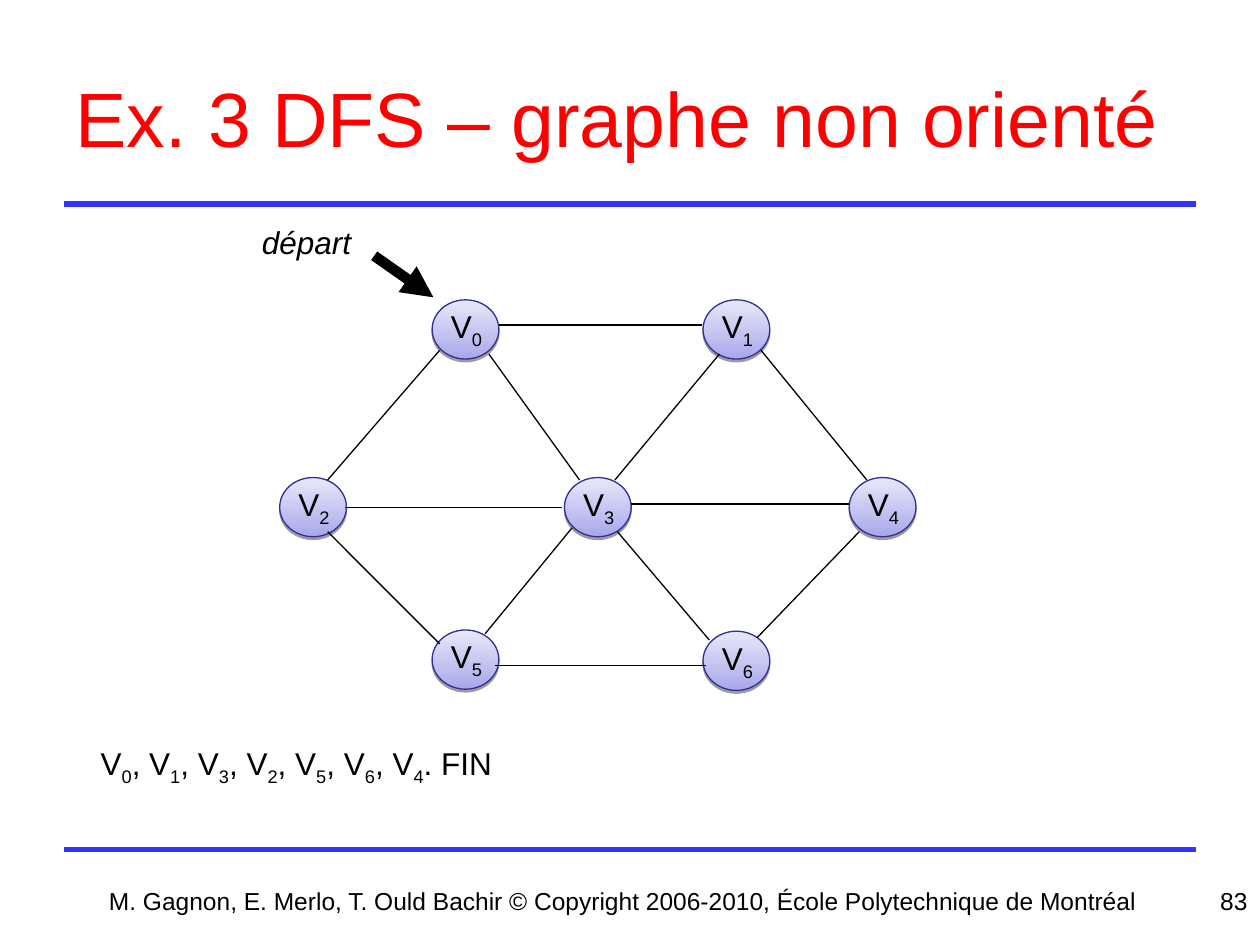
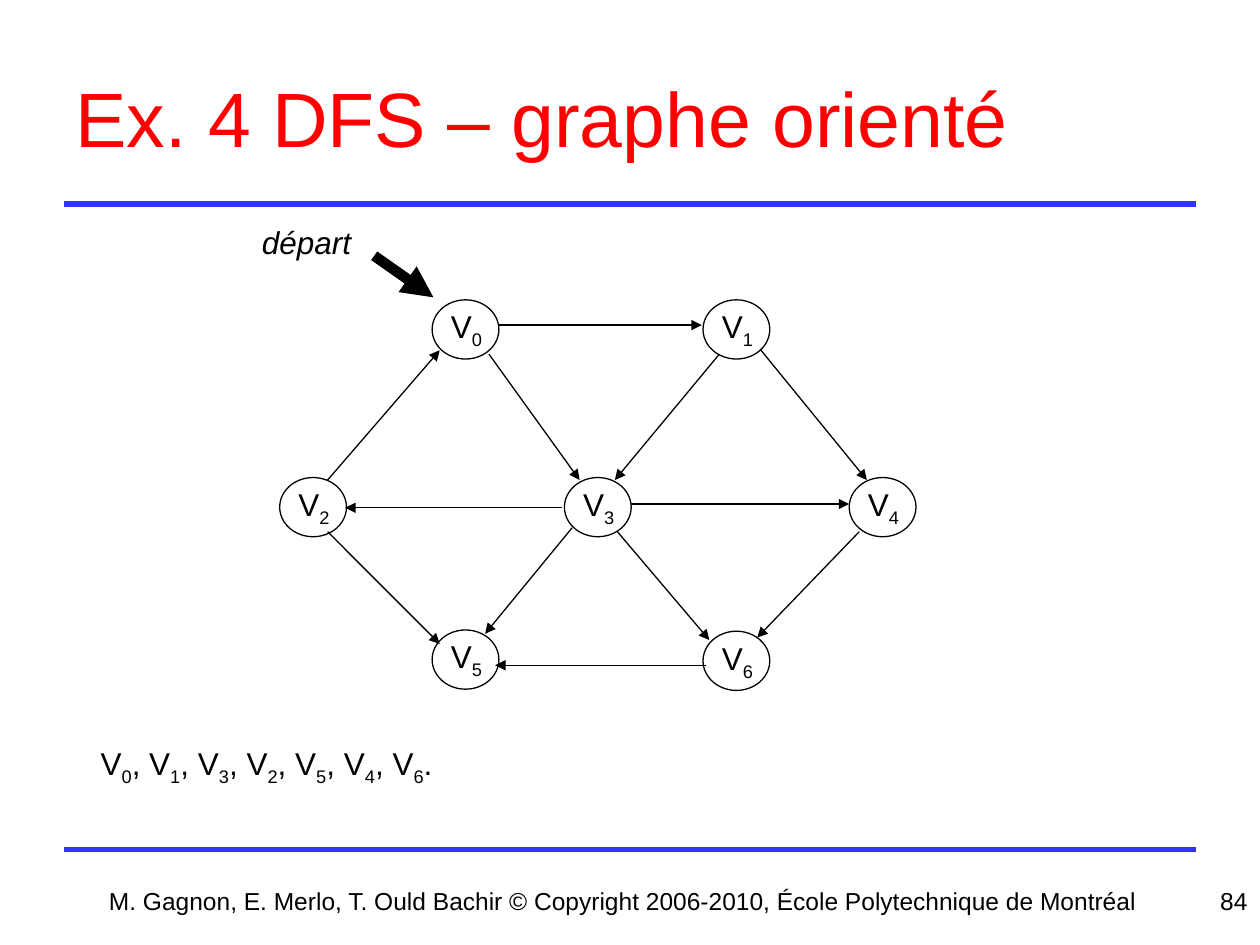
from lxml import etree
from pptx import Presentation
from pptx.dml.color import RGBColor
from pptx.enum.shapes import MSO_CONNECTOR, MSO_SHAPE
from pptx.enum.text import MSO_ANCHOR, MSO_AUTO_SIZE, PP_ALIGN
from pptx.oxml.ns import qn
from pptx.util import Inches, Pt

STRAIGHT = MSO_CONNECTOR.STRAIGHT
OVAL = MSO_SHAPE.OVAL
MIDDLE = MSO_ANCHOR.MIDDLE
NO_FIT, GROW = MSO_AUTO_SIZE.NONE, MSO_AUTO_SIZE.SHAPE_TO_FIT_TEXT
LEFT, CENTER, RIGHT = PP_ALIGN.LEFT, PP_ALIGN.CENTER, PP_ALIGN.RIGHT

FONT = "Arial"
COLORS = {
    "title": "FF0000",
    "rule": "3333FF",
    "ink": "000000",
    "node_dark": "A8A8EA",
    "node_light": "E8E8FA",
    "node_line": "2F2F98",
}
RGB = {name: RGBColor.from_string(value) for name, value in COLORS.items()}
FOOTER = "M. Gagnon, E. Merlo, T. Ould Bachir © Copyright 2006-2010, École Polytechnique de Montréal"

NODE_W, NODE_H = 0.53, 0.47
NODES = {
    0: (3.43, 2.38),
    1: (5.58, 2.38),
    3: (4.48, 3.79),
    2: (2.22, 3.79),
    5: (3.43, 5),
    6: (5.58, 5.01),
    4: (6.74, 3.79),
}
EDGES = [
    (3.96, 2.58, 5.57, 2.58),
    (6.04, 2.78, 6.88, 3.81),
    (6.82, 4.22, 6.01, 5.06),
    (5.6, 5.28, 3.93, 5.28),
    (2.6, 4.22, 3.49, 5.11),
    (2.6, 3.81, 3.49, 2.78),
    (3.88, 2.81, 4.6, 3.81),
    (4.9, 4.22, 5.63, 5.08),
    (5.71, 2.81, 4.88, 3.81),
    (4.54, 4.19, 3.85, 5.03),
    (5.01, 4, 6.74, 4),
    (4.46, 4.03, 2.74, 4.03),
]
SLIDES = [
    {"title": "Ex. 3 DFS – graphe non orienté", "directed": False,
     "order": [0, 1, 3, 2, 5, 6, 4], "ending": ". FIN", "number": "83"},
    {"title": "Ex. 4 DFS – graphe orienté", "directed": True,
     "order": [0, 1, 3, 2, 5, 4, 6], "ending": ".", "number": "84"},
]


def add_line(s, ends, color, width, arrow=False):
    c = s.shapes.add_connector(STRAIGHT, *[Inches(v) for v in ends])
    c.line.color.rgb = RGB[color]
    c.line.width = Pt(width)
    spPr = c.element.spPr
    if arrow:
        etree.SubElement(spPr.find(qn("a:ln")), qn("a:tailEnd"), type="triangle")
    etree.SubElement(spPr, qn("a:effectLst"))


def add_text(shapes, box, runs, size=18, align=LEFT, wrap=True, fit=GROW, italic=False):
    tf = shapes.add_textbox(*[Inches(v) for v in box]).text_frame
    tf.word_wrap = wrap
    tf.auto_size = fit
    p = tf.paragraphs[0]
    p.alignment = align
    for text, subscript in runs:
        r = p.add_run()
        r.text = text
        r.font.name = FONT
        r.font.size = Pt(size)
        r.font.italic = italic
        r.font.color.rgb = RGB["ink"]
        if subscript:
            r.font.element.set("baseline", "-25000") if hasattr(r.font, "element") else r._r.get_or_add_rPr().set("baseline", "-25000")


prs = Presentation()
prs.slide_width = Inches(10)
prs.slide_height = Inches(7.5)

for content in SLIDES:
    s = prs.slides.add_slide(prs.slide_layouts[5])
    directed = content["directed"]
    for y in (6.74, 1.62):
        add_line(s, (0.51, y, 9.49, y), "rule", 3)

    title = s.shapes.title
    title.left, title.top = Inches(0.5), Inches(0.3)
    title.width, title.height = Inches(9), Inches(1.25)
    tf = title.text_frame
    tf.vertical_anchor = MIDDLE
    tf.word_wrap = True
    tf.auto_size = NO_FIT
    p = tf.paragraphs[0]
    p.alignment = LEFT
    r = p.add_run()
    r.text = content["title"]
    r.font.name = FONT
    r.font.size = Pt(44)
    r.font.color.rgb = RGB["title"]

    for label, (x, y) in NODES.items():
        group = s.shapes.add_group_shape()
        sp = group.shapes.add_shape(OVAL, Inches(x), Inches(y), Inches(NODE_W), Inches(NODE_H))
        sp.line.width = Pt(0.75)
        sp.shadow.inherit = False
        if directed:
            sp.fill.background()
            sp.line.color.rgb = RGB["ink"]
        else:
            sp.fill.gradient()
            sp.fill.gradient_angle = 90
            for stop, color in zip(sp.fill.gradient_stops, ("node_dark", "node_light")):
                stop.color.rgb = RGB[color]
            sp.line.color.rgb = RGB["node_line"]
            effects = sp.element.spPr.find(qn("a:effectLst"))
            shadow = etree.SubElement(effects, qn("a:outerShdw"), blurRad="0",
                                      dist=str(Pt(1.6)), dir="5400000", rotWithShape="0")
            tint = etree.SubElement(shadow, qn("a:srgbClr"), val=COLORS["ink"])
            etree.SubElement(tint, qn("a:alpha"), val="38000")
        add_text(group.shapes, (x + 0.05, y + 0.01, 0.45, 0.44),
                 [("V", False), (str(label), True)], wrap=False)

    for i, ends in enumerate(EDGES):
        add_line(s, ends, "ink", 1 if i == 0 else 0.75, directed)
    add_line(s, (2.97, 2.03, 3.44, 2.36), "ink", 6, True)
    add_text(s.shapes, (1.98, 1.72, 0.91, 0.4), [("départ", False)], wrap=False, italic=True)

    visit = []
    for i, label in enumerate(content["order"]):
        visit += [(", V" if i else "V", False), (str(label), True)]
    visit.append((content["ending"], False))
    add_text(s.shapes, (0.7, 5.86, 4.06, 0.44), visit)

    add_text(s.shapes, (0.63, 6.98, 8.63, 0.52), [(FOOTER, False)], 14, CENTER, fit=NO_FIT)
    add_text(s.shapes, (7.67, 6.98, 2.33, 0.52), [(content["number"], False)], 14, RIGHT, fit=NO_FIT)

prs.save("out.pptx")
